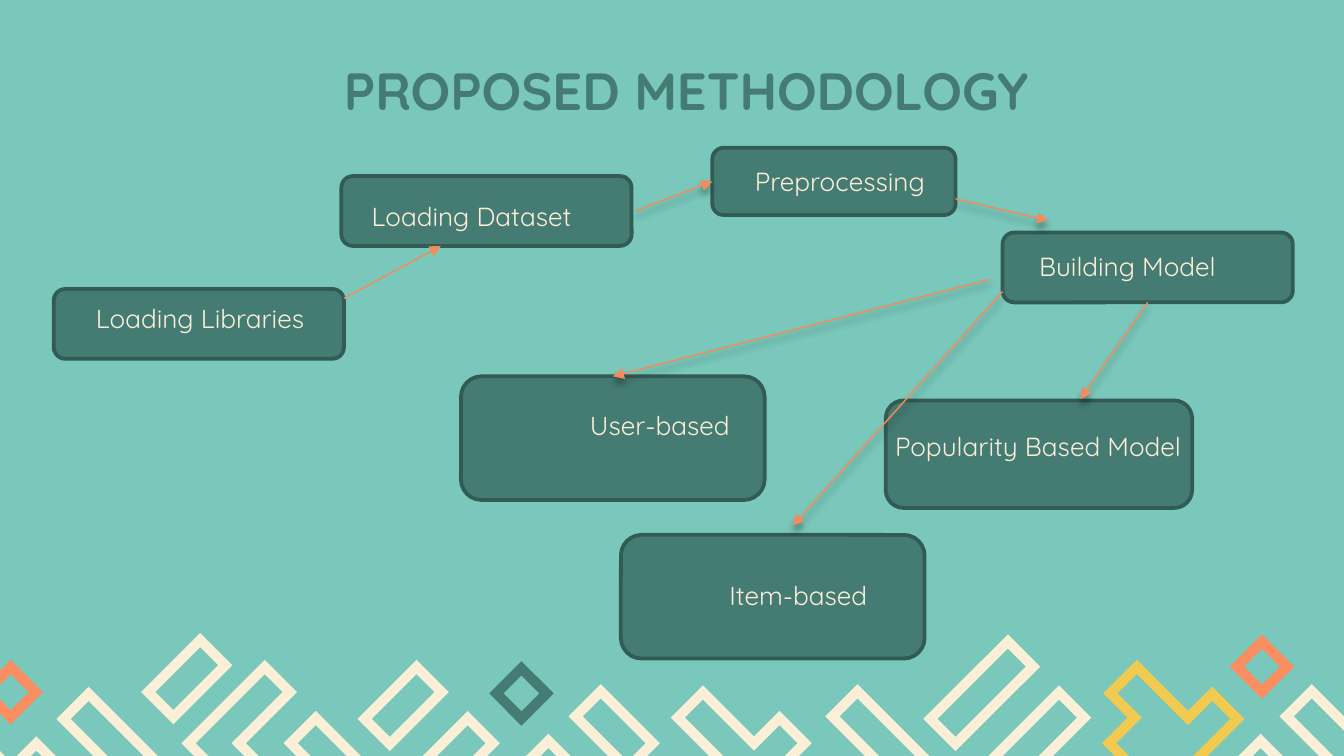
from lxml.etree import SubElement
from pptx import Presentation
from pptx.dml.color import RGBColor
from pptx.enum.shapes import MSO_CONNECTOR, MSO_SHAPE
from pptx.enum.text import MSO_ANCHOR, MSO_AUTO_SIZE, PP_ALIGN
from pptx.oxml.ns import qn
from pptx.util import Inches, Pt

COLORS = {"background": "79C8BB", "box": "447B72", "border": "325B54", "cream": "FBEFD7",
          "coral": "FA8E61", "yellow": "F2CA4F", "arrow": "F8895B", "shadow": "000000"}
FONT = "Quicksand"
WIDTH = Inches(10)
HEIGHT = WIDTH * 9 // 16
CELL = WIDTH / 100
RING_INSET = 0.75

DIAMOND = [2.4, 2.4, -2.4]
SHORT_FALLING = [4.4, 2.4, -4.4]
SHORT_RISING = [2.4, 4.4, -2.4]
RINGS = [
    (84.6, 2.1, [3.8, -1.8, 2.4, 6.2, -4.4, -1.9, -1.8], "yellow"),
    (75, 0.2, [2.4, 6.3, -2.4], "cream"),
    (63.8, 3.9, [11.8, 2.4, -11.8], "cream"),
    (93.8, 7.6, SHORT_FALLING, "cream"),
    (97.6, 3.9, SHORT_FALLING, "cream"),
    (52.3, 4, [3.8, -1.9, 2.4, 4.3, -6.2], "cream"),
    (78.8, 4, [2.4, 3.8, 1.3, -1.8, 2.5, 4.3, -6.2], "cream"),
    (40.8, 7.6, SHORT_FALLING, "cream"),
    (44.7, 3.9, SHORT_FALLING, "cream"),
    (34.8, 5.9, SHORT_RISING, "cream"),
    (6.6, 4.1, [8, 2.4, -8], "cream"),
    (2.7, 7.8, [4.3, 4.3, -6.2, -2.4, 1.9], "cream"),
    (19.7, 2.1, [2.4, 3.8, 3.3, -1.4, -1.9, -2.4, 4.3, 3.8, 1.9, 2.4, -10], "cream"),
    (31, 2.1, SHORT_RISING, "cream"),
    (0.8, 2.1, DIAMOND, "coral"),
    (14.9, 0.1, SHORT_RISING, "cream"),
    (93.9, 0.2, DIAMOND, "coral"),
    (38.8, 2.2, DIAMOND, "box"),
]

STEPS = {
    "Building Model": ((74.6, 17.3, 21.6, 5.2), (-3, 0.3, 24.6, 3.6)),
    "Loading Dataset": ((25.4, 13.1, 21.6, 5.2), (-2.6, 0.8, 24.6, 3.6)),
    "User-based": ((34.3, 28, 22.6, 9.2), (5.9, 1.5, 17.8, 7.6)),
    "Popularity Based Model": ((65.9, 29.8, 22.8, 8), (-1.7, 1.2, 26.1, 5.1)),
    "Loading Libraries": ((4, 21.5, 21.6, 5.2), (-1.4, 0, 24.6, 3.6)),
    "Item-based": ((46.2, 39.8, 22.6, 9.2), (4.3, 2.3, 17.8, 7.6)),
    "Preprocessing": ((53, 11, 18.1, 5), (-2.8, 0.3, 24.6, 3.6)),
}

ARROWS = [
    ((25.6, 22.2), (32.8, 18.3), None, None, False),
    ((71.1, 14.8), (78, 16.4), None, None, True),
    ((74.6, 21.7), (59, 39.1), None, None, True),
    ((85.4, 22.5), (80.4, 29.7), ("Building Model", 2), None, True),
    ((73.6, 20.8), (45.6, 28), None, ("User-based", 0), True),
    ((47.3, 15.7), (53.1, 13.5), None, ("Preprocessing", 1), True),
]


def color(name):
    """Return the named palette color."""
    return RGBColor.from_string(COLORS[name])


def cells(*values):
    """Convert grid cells to slide lengths."""
    return [round(value * CELL) for value in values]


def trace_ring(x, y, runs):
    """Return outer and inner outlines for runs that alternate between the two diagonals."""
    outer = [(x, y)]
    for index, run in enumerate(runs):
        x, y = x + (run if index % 2 == 0 else -run), y + run
        outer.append((x, y))
    signs = [1 if run > 0 else -1 for run in runs] + [-1]
    shift = RING_INSET / 2 ** 0.5
    inner = []
    for index, (x, y) in enumerate(outer):
        falling, rising = signs[index], signs[index - 1]
        if index % 2:
            falling, rising = rising, falling
        inner.append((x - shift * (falling + rising), y + shift * (falling - rising)))
    return [cells(*point) for point in outer], [cells(*point) for point in reversed(inner)]


def add_pattern_band(slide, left, top):
    """Draw the band of diagonal rings from its upper left corner."""
    for x, y, runs, fill in RINGS:
        outer, inner = trace_ring(left + x, top + y, runs)
        builder = slide.shapes.build_freeform(*outer[0])
        builder.add_line_segments(outer[1:], close=True)
        builder.move_to(*inner[0])
        builder.add_line_segments(inner[1:], close=True)
        shape = builder.convert_to_shape()
        shape.shadow.inherit = False
        shape.fill.solid()
        shape.fill.fore_color.rgb = color(fill)
        shape.line.fill.background()


def format_text(shape, text, size, fill, anchor, bold=False):
    """Write one centred paragraph in the slide font."""
    frame = shape.text_frame
    frame.text = text
    frame.word_wrap = True
    frame.auto_size = MSO_AUTO_SIZE.NONE
    frame.vertical_anchor = anchor
    frame.margin_left = frame.margin_right = frame.margin_top = frame.margin_bottom = Inches(0.1)
    paragraph = frame.paragraphs[0]
    paragraph.alignment = PP_ALIGN.CENTER
    paragraph.line_spacing = 1.0
    font = paragraph.runs[0].font
    font.name, font.size, font.bold = FONT, Pt(size), bold
    font.color.rgb = color(fill)


def add_title(slide, box):
    """Place and format the title placeholder."""
    title = slide.shapes.title
    title.left, title.top, title.width, title.height = cells(*box)
    format_text(title, "PROPOSED METHODOLOGY", 28, "box", MSO_ANCHOR.BOTTOM, True)


def add_step(slide, text, box, label_box):
    """Draw a step with its label placed relative to the box."""
    shape = slide.shapes.add_shape(MSO_SHAPE.ROUNDED_RECTANGLE, *cells(*box))
    shape.shadow.inherit = False
    shape.fill.solid()
    shape.fill.fore_color.rgb = color("box")
    shape.line.color.rgb = color("border")
    shape.line.width = Pt(2)
    x, y, width, height = label_box
    label = slide.shapes.add_textbox(*cells(box[0] + x, box[1] + y, width, height))
    format_text(label, text, 14, "cream", MSO_ANCHOR.TOP)
    return shape


def add_arrow(slide, start, end, shadowed):
    """Draw an arrow, with a soft shadow when asked."""
    connector = slide.shapes.add_connector(MSO_CONNECTOR.STRAIGHT, *cells(*start, *end))
    connector.line.color.rgb = color("arrow")
    connector.line.width = Pt(0.75)
    properties = connector._element.spPr
    SubElement(properties.find(qn("a:ln")), qn("a:tailEnd"), type="triangle")
    effects = SubElement(properties, qn("a:effectLst"))
    if shadowed:
        shadow = SubElement(effects, qn("a:outerShdw"), blurRad=str(Pt(4)), dist=str(Pt(3)),
                            dir="5400000", rotWithShape="0")
        shade = SubElement(shadow, qn("a:srgbClr"), val=COLORS["shadow"])
        SubElement(shade, qn("a:alpha"), val="40000")
    return connector


def add_flow(slide):
    """Draw the steps and the arrows between them."""
    shapes = {text: add_step(slide, text, *boxes) for text, boxes in STEPS.items()}
    for start, end, source, target, shadowed in ARROWS:
        connector = add_arrow(slide, start, end, shadowed)
        if source:
            connector.begin_connect(shapes[source[0]], source[1])
        if target:
            connector.end_connect(shapes[target[0]], target[1])


def main():
    """Build and save the slide."""
    presentation = Presentation()
    presentation.slide_width, presentation.slide_height = WIDTH, HEIGHT
    slide = presentation.slides.add_slide(presentation.slide_layouts[5])
    slide.background.fill.solid()
    slide.background.fill.fore_color.rgb = color("background")
    add_pattern_band(slide, 0, 47)
    add_title(slide, (7.6, 3.7, 86.9, 6.3))
    add_flow(slide)
    presentation.save("out.pptx")


if __name__ == "__main__":
    main()
